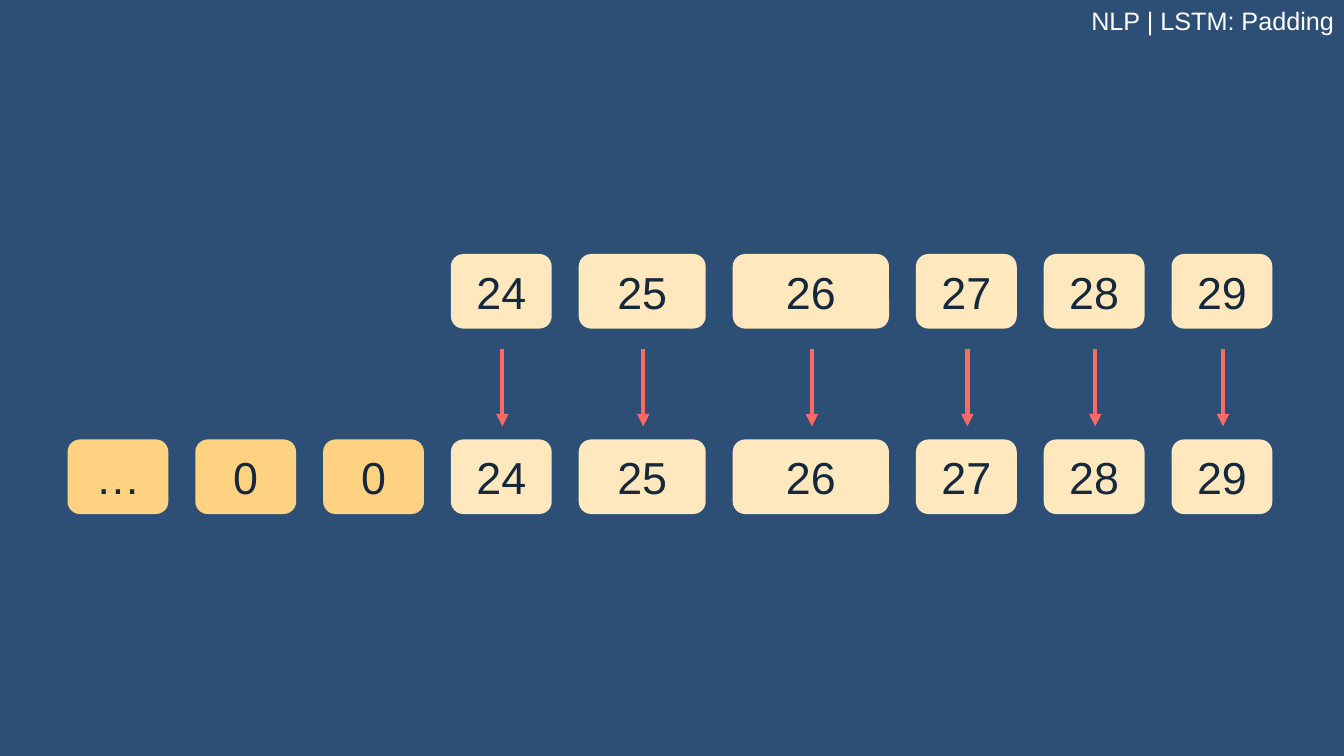
from dataclasses import dataclass

from lxml import etree
from pptx import Presentation
from pptx.dml.color import RGBColor
from pptx.enum.shapes import MSO_CONNECTOR, MSO_SHAPE
from pptx.enum.text import MSO_ANCHOR, MSO_AUTO_SIZE, PP_ALIGN
from pptx.oxml.ns import qn
from pptx.slide import Slide
from pptx.text.text import TextFrame
from pptx.util import Inches, Pt

ROUNDED = MSO_SHAPE.ROUNDED_RECTANGLE
STRAIGHT = MSO_CONNECTOR.STRAIGHT
MIDDLE = MSO_ANCHOR.MIDDLE
TOP = MSO_ANCHOR.TOP
CENTER = PP_ALIGN.CENTER
RIGHT = PP_ALIGN.RIGHT
GROW = MSO_AUTO_SIZE.SHAPE_TO_FIT_TEXT


@dataclass(frozen=True)
class Theme:
    font: str = "Arial"
    background: str = "2D4F76"
    heading: str = "FFFFFF"
    token: str = "FFE8BD"
    padding: str = "FFD281"
    digits: str = "16283B"
    arrow: str = "FF6961"
    heading_size: int = 18
    token_size: int = 32
    arrow_weight: int = 3


@dataclass(frozen=True)
class Token:
    label: str
    width: float = 1.0
    is_padding: bool = False


THEME = Theme()
SLIDE_WIDTH, SLIDE_HEIGHT = 13.33, 7.5
SEQUENCE_LEFT, SEQUENCE_RIGHT = 0.67, 12.62
INPUT_TOP, PADDED_TOP = 2.52, 4.36
TOKEN_HEIGHT = 0.74
ARROW_TOP, ARROW_BOTTOM = 3.46, 4.23
SEQUENCE = [
    Token("…", is_padding=True),
    Token("0", is_padding=True),
    Token("0", is_padding=True),
    Token("24"),
    Token("25", 1.26),
    Token("26", 1.55),
    Token("27"),
    Token("28"),
    Token("29"),
]


def write_text(frame: TextFrame, text: str, size: int, color: str,
               alignment: PP_ALIGN, anchor: MSO_ANCHOR) -> None:
    frame.word_wrap = True
    frame.vertical_anchor = anchor
    paragraph = frame.paragraphs[0]
    paragraph.alignment = alignment
    run = paragraph.add_run()
    run.text = text
    font_format = {"name": THEME.font, "size": Pt(size)}
    for attribute, value in font_format.items():
        setattr(run.font, attribute, value)
    run.font.color.rgb = RGBColor.from_string(color)


def draw_heading(slide: Slide, text: str) -> None:
    heading = slide.shapes.add_textbox(
        Inches(7.62), Inches(0), Inches(5.71), Inches(0.4))
    write_text(heading.text_frame, text, THEME.heading_size, THEME.heading, RIGHT, TOP)
    heading.text_frame.auto_size = GROW


def draw_token(slide: Slide, token: Token, left: float, top: float) -> None:
    tile = slide.shapes.add_shape(
        ROUNDED, Inches(left), Inches(top), Inches(token.width), Inches(TOKEN_HEIGHT))
    tile.shadow.inherit = False
    tile.fill.solid()
    tile.fill.fore_color.rgb = RGBColor.from_string(
        THEME.padding if token.is_padding else THEME.token)
    tile.line.fill.background()
    write_text(tile.text_frame, token.label, THEME.token_size, THEME.digits, CENTER, MIDDLE)


def draw_arrow(slide: Slide, center: float) -> None:
    arrow = slide.shapes.add_connector(
        STRAIGHT, Inches(center), Inches(ARROW_TOP), Inches(center), Inches(ARROW_BOTTOM))
    arrow.line.color.rgb = RGBColor.from_string(THEME.arrow)
    arrow.line.width = Pt(THEME.arrow_weight)
    properties = arrow.element.spPr
    etree.SubElement(properties.find(qn("a:ln")), qn("a:tailEnd"), type="triangle")
    etree.SubElement(properties, qn("a:effectLst"))


def draw_sequence(slide: Slide, sequence: list[Token]) -> None:
    tokens_width = sum(token.width for token in sequence)
    gap = (SEQUENCE_RIGHT - SEQUENCE_LEFT - tokens_width) / (len(sequence) - 1)
    left = SEQUENCE_LEFT
    for token in sequence:
        draw_token(slide, token, left, PADDED_TOP)
        if not token.is_padding:
            draw_token(slide, token, left, INPUT_TOP)
            draw_arrow(slide, left + token.width / 2 + 0.01)
        left += token.width + gap


def main() -> None:
    presentation = Presentation()
    presentation.slide_width = Inches(SLIDE_WIDTH)
    presentation.slide_height = Inches(SLIDE_HEIGHT)
    slide = presentation.slides.add_slide(presentation.slide_layouts[6])
    slide.background.fill.solid()
    slide.background.fill.fore_color.rgb = RGBColor.from_string(THEME.background)
    draw_heading(slide, "NLP | LSTM: Padding")
    draw_sequence(slide, SEQUENCE)
    presentation.save("out.pptx")


if __name__ == "__main__":
    main()
